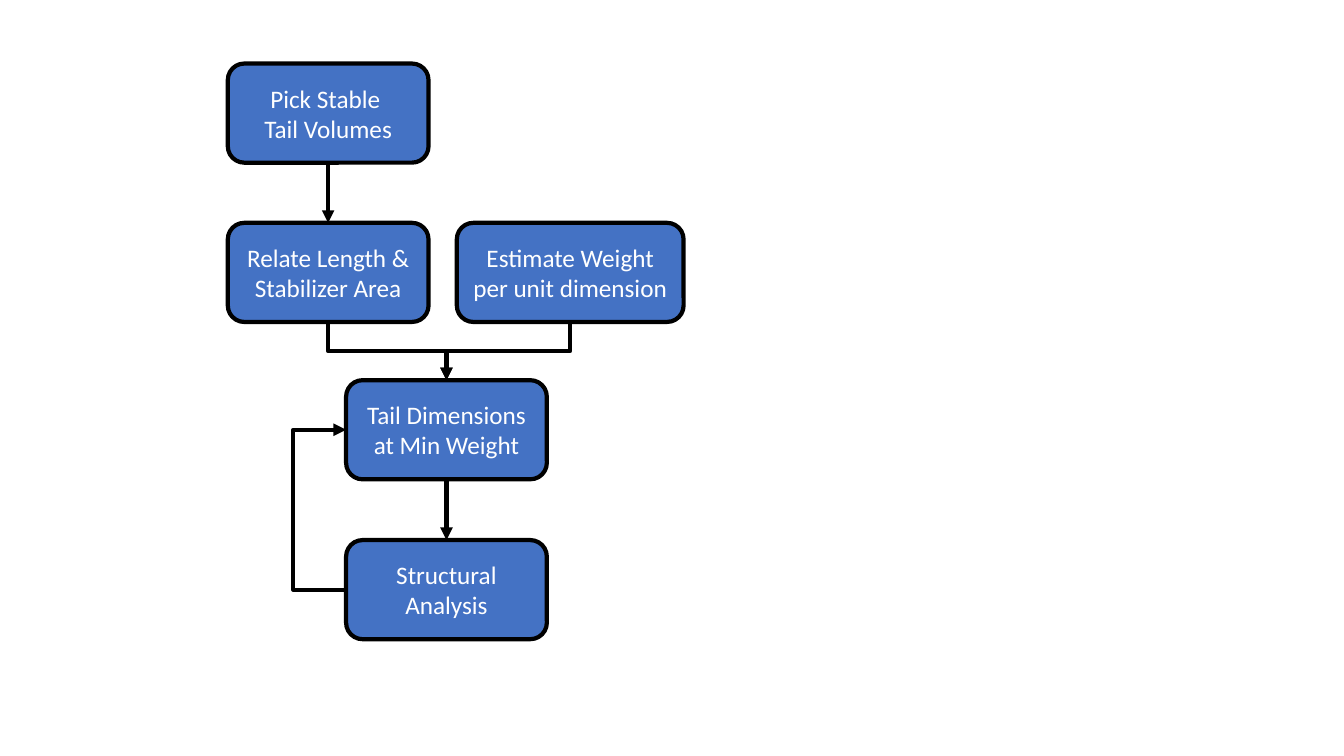
from lxml.etree import SubElement
from pptx import Presentation
from pptx.dml.color import RGBColor
from pptx.enum.shapes import MSO_CONNECTOR as Line, MSO_SHAPE as Shape
from pptx.enum.text import MSO_ANCHOR as Anchor, PP_ALIGN as Align
from pptx.oxml.ns import qn
from pptx.util import Pt

BLUE, BLACK, WHITE = "4472C4", "000000", "FFFFFF"
LINE_WIDTH = 3
BOX_HEIGHT = 70.8
TOP, LEFT, BOTTOM = 0, 1, 2  # connection sites of a rounded box
FONT = {"name": "Calibri", "size": Pt(18)}

# name: (left, top, width, paragraphs), relative to the flowchart
STEPS = {
    "volumes": (0, 0, 143.4, ["Pick Stable ", "Tail Volumes"]),
    "area": (0, 113.8, 143.4, ["Relate Length & Stabilizer Area"]),
    "weight": (163.6, 113.8, 162, ["Estimate Weight per unit dimension"]),
    "dimensions": (84.5, 226.2, 143.4, ["Tail Dimensions at Min Weight"]),
    "analysis": (84.5, 340.4, 143.4, ["Structural Analysis"]),
}


def color(hex_value):
    return RGBColor.from_string(hex_value)


def add_step(slide, left, top, width, paragraphs):
    box = slide.shapes.add_shape(
        Shape.ROUNDED_RECTANGLE, Pt(left), Pt(top), Pt(width), Pt(BOX_HEIGHT))
    box.shadow.inherit = False
    box.fill.solid()
    box.fill.fore_color.rgb = color(BLUE)
    box.line.color.rgb = color(BLACK)
    box.line.width = Pt(LINE_WIDTH)
    frame = box.text_frame
    frame.word_wrap = True
    frame.vertical_anchor = Anchor.MIDDLE
    for index, text in enumerate(paragraphs):
        para = frame.add_paragraph() if index else frame.paragraphs[0]
        para.alignment = Align.CENTER
        span = para.add_run()
        span.text = text
        span.font.color.rgb = color(WHITE)
        for name, value in FONT.items():
            setattr(span.font, name, value)


    return box


def add_arrow(slide, kind, source, source_site, target, target_site):
    arrow = slide.shapes.add_connector(kind, 0, 0, 0, 0)
    arrow.begin_connect(source, source_site)
    arrow.end_connect(target, target_site)
    arrow.line.color.rgb = color(BLACK)
    arrow.line.width = Pt(LINE_WIDTH)
    SubElement(arrow.line._get_or_add_ln(), qn("a:tailEnd"), type="triangle")
    SubElement(arrow._element.spPr, qn("a:effectLst"))
    return arrow


def place_arrow(arrow, left, top, width, height, rotation, flip=False):
    arrow.left, arrow.top, arrow.width, arrow.height = map(
        int, (left, top, width, height))
    frame = arrow._element.spPr.find(qn("a:xfrm"))
    frame.set("rot", str(rotation * 60000))
    frame.set("flipH", str(int(flip)))
    frame.set("flipV", "0")


def add_merge(slide, source, target):
    """Elbow that leaves the source downwards and enters the target's top."""
    arrow = add_arrow(slide, Line.ELBOW, source, BOTTOM, target, TOP)
    start_x = source.left + source.width / 2
    end_x = target.left + target.width / 2
    start_y = source.top + source.height
    drop, shift = target.top - start_y, abs(end_x - start_x)
    rightward = end_x > start_x
    place_arrow(arrow, (start_x + end_x - drop) / 2,
                (start_y + target.top - shift) / 2, drop, shift,
                270 if rightward else 90, rightward)


def add_loop(slide, source, target, reach):
    """Elbow that runs back up on the left of both boxes."""
    arrow = add_arrow(slide, Line.ELBOW, source, LEFT, target, LEFT)
    place_arrow(arrow, target.left, target.top + target.height / 2,
                Pt(1), source.top - target.top, 180)
    guides = arrow._element.spPr.find(qn("a:prstGeom")).get_or_add_avLst()
    SubElement(guides, qn("a:gd"), name="adj1",
               fmla=f"val {(reach + 1) * 100000}")


def add_flowchart(slide, left, top):
    # Step boxes
    boxes = {name: add_step(slide, left + x, top + y, width, paragraphs)
             for name, (x, y, width, paragraphs) in STEPS.items()}

    # Straight arrows
    for source, target in (("volumes", "area"), ("dimensions", "analysis")):
        add_arrow(slide, Line.STRAIGHT, boxes[source], BOTTOM,
                  boxes[target], TOP)

    # Two inputs that meet above the tail dimensions
    for source in ("area", "weight"):
        add_merge(slide, boxes[source], boxes["dimensions"])

    # Iteration loop
    add_loop(slide, boxes["analysis"], boxes["dimensions"], 38)


def main():
    deck = Presentation()
    deck.slide_width, deck.slide_height = Pt(960), Pt(540)
    page = deck.slides.add_slide(deck.slide_layouts[6])
    add_flowchart(page, 162.7, 45.4)
    deck.save("out.pptx")


if __name__ == "__main__":
    main()
